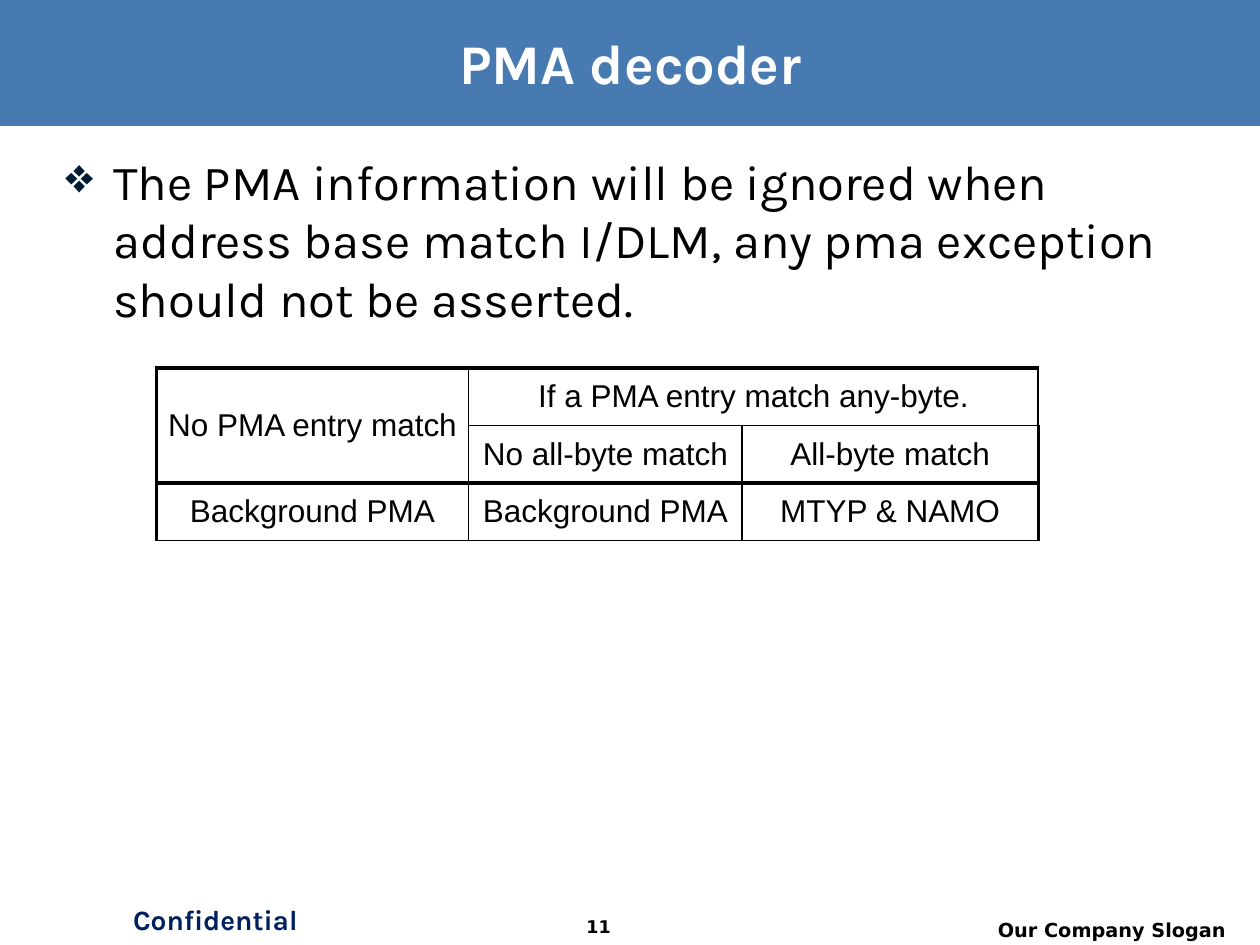
import pptx
import pptx.util
import pptx.dml.color
import pptx.enum.shapes
import pptx.enum.text
import pptx.oxml
import pptx.oxml.ns

RGBColor = pptx.dml.color.RGBColor
Align = pptx.enum.text.PP_ALIGN
Anchor = pptx.enum.text.MSO_ANCHOR

BANNER_BLUE = RGBColor(0x47, 0x7A, 0xB1)
NAVY = RGBColor(0x00, 0x20, 0x60)
BULLET_NAVY = RGBColor(0x00, 0x1B, 0x36)
BLACK = RGBColor(0, 0, 0)
WHITE = RGBColor(255, 255, 255)

SLIDE_WIDTH = pptx.util.Inches(10)
SLIDE_HEIGHT = pptx.util.Inches(7.5)
COLUMN = SLIDE_WIDTH / 100
ROW = SLIDE_HEIGHT / 75

HEAVY, THIN = 2.25, 1
HEADER_ROWS = 2
MATCH_COLUMNS = [24.8, 21.7, 23.5]
MATCH_ROW = 4.57
MATCH_CELLS = [
    (0, 0, "No PMA entry match"),
    (0, 1, "If a PMA entry match any-byte."),
    (1, 1, "No all-byte match"),
    (1, 2, "All-byte match"),
    (2, 0, "Background PMA"),
    (2, 1, "Background PMA"),
    (2, 2, "MTYP & NAMO"),
]


def grid(left, top, width, height):
    return (round(left * COLUMN), round(top * ROW),
            round(width * COLUMN), round(height * ROW))


def xml(body):
    namespace = pptx.oxml.ns.nsdecls("a")
    return pptx.oxml.parse_xml(body.replace(" ", f" {namespace} ", 1))


def write(frame, text, size, font="Karla", color=BLACK, bold=False,
          align=Align.LEFT, bullet=None, shadow=False):
    paragraph = frame.paragraphs[0]
    paragraph.alignment = align
    if bullet:
        hanging = round(3.8 * COLUMN)
        properties = paragraph._p.get_or_add_pPr()
        properties.set("marL", str(hanging))
        properties.set("indent", str(-hanging))
        properties.append(xml(f'<a:buClr ><a:srgbClr val="{BULLET_NAVY}"/></a:buClr>'))
        properties.append(xml(f'<a:buChar char="{bullet}"/>'))
    run = paragraph.add_run()
    run.text = text
    run.font.size = pptx.util.Pt(size)
    run.font.bold = bold
    run.font.color.rgb = color
    if shadow:
        run._r.get_or_add_rPr().append(xml(
            '<a:effectLst ><a:outerShdw dist="38100" dir="2700000">'
            f'<a:srgbClr val="{BLACK}"/></a:outerShdw></a:effectLst>'))
    run.font.name = font


def add_text(slide, place, text, size, anchor=Anchor.TOP, **style):
    frame = slide.shapes.add_textbox(*place).text_frame
    frame.word_wrap = True
    frame.vertical_anchor = anchor
    write(frame, text, size, **style)


def add_banner(slide):
    banner = slide.shapes.add_shape(
        pptx.enum.shapes.MSO_SHAPE.RECTANGLE, *grid(0, 0, 100, 10))
    banner.shadow.inherit = False
    banner.fill.solid()
    banner.fill.fore_color.rgb = BANNER_BLUE
    banner.line.fill.background()


def add_borders(cell, row, column):
    last_column = len(MATCH_COLUMNS) - 1
    heavy = {
        "L": column == 0,
        "R": column == last_column,
        "T": row in (0, HEADER_ROWS),
        "B": row == HEADER_ROWS - 1,
    }
    properties = cell._tc.get_or_add_tcPr()
    for position, (side, is_heavy) in enumerate(heavy.items()):
        width = pptx.util.Pt(HEAVY if is_heavy else THIN)
        properties.insert(position, xml(
            f'<a:ln{side} w="{width}"><a:solidFill><a:srgbClr val="{BLACK}"/>'
            f'</a:solidFill></a:ln{side}>'))


def add_match_table(slide):
    rows, columns = HEADER_ROWS + 1, len(MATCH_COLUMNS)
    place = grid(12.4, 29.2, sum(MATCH_COLUMNS), rows * MATCH_ROW)
    table = slide.shapes.add_table(rows, columns, *place).table
    table.first_row = table.horz_banding = False
    for column, width in enumerate(MATCH_COLUMNS):
        table.columns[column].width = round(width * COLUMN)
    for row in range(rows):
        table.rows[row].height = round(MATCH_ROW * ROW)
        for column in range(columns):
            cell = table.cell(row, column)
            cell.fill.solid()
            cell.fill.fore_color.rgb = WHITE
            cell.vertical_anchor = Anchor.MIDDLE
            cell.margin_left = cell.margin_right = round(0.7 * COLUMN)
            cell.margin_top = cell.margin_bottom = 0
            add_borders(cell, row, column)
    table.cell(0, 0).merge(table.cell(1, 0))
    table.cell(0, 1).merge(table.cell(0, 2))
    for row, column, text in MATCH_CELLS:
        write(table.cell(row, column).text_frame, text, 18,
              font="Arial", align=Align.CENTER)


def add_footer(slide):
    add_text(slide, grid(8.4, 71.1, 17.4, 4.2), "Confidential", 16,
             color=NAVY, bold=True, align=Align.CENTER)
    add_text(slide, grid(74.6, 72.4, 23.7, 2.6), "Our Company Slogan", 11,
             font="DejaVu Sans", bold=True, align=Align.RIGHT)
    add_text(slide, grid(42.9, 72.2, 9.2, 2.8), "11", 10,
             font="DejaVu Sans", bold=True, align=Align.CENTER)


def main():
    deck = pptx.Presentation()
    deck.slide_width, deck.slide_height = SLIDE_WIDTH, SLIDE_HEIGHT
    slide = deck.slides.add_slide(deck.slide_layouts[6])
    add_banner(slide)
    add_footer(slide)
    add_text(slide, grid(3.5, 1.6, 93.1, 6.6), "PMA decoder", 32,
             anchor=Anchor.MIDDLE, color=WHITE, bold=True,
             align=Align.CENTER, shadow=True)
    add_text(slide, grid(4.2, 11.5, 92.1, 58.3),
             "The PMA information will be ignored when address base match "
             "I/DLM, any pma exception should not be asserted.", 28, bullet="❖")
    add_match_table(slide)
    deck.save("out.pptx")


if __name__ == "__main__":
    main()
